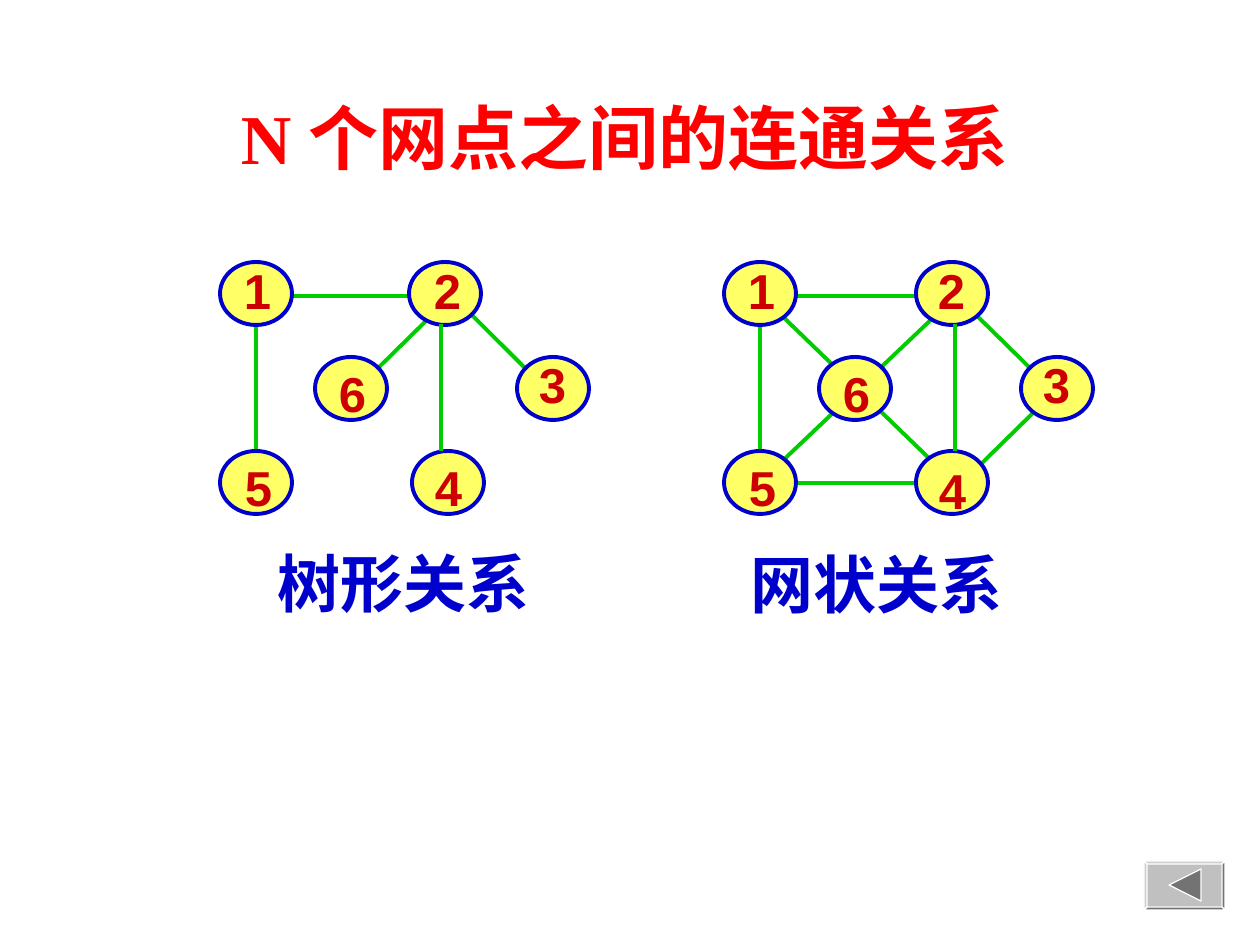
from lxml import etree
from pptx import Presentation
from pptx import util as u
from pptx.dml.color import RGBColor
from pptx.enum import shapes, text
from pptx.oxml.ns import qn

EMU_PER_PX = 914400 / 126

RED = RGBColor(0xFF, 0x00, 0x00)
DARK_RED = RGBColor(0xCC, 0x00, 0x00)
BLUE = RGBColor(0x00, 0x00, 0xCC)
GREEN = RGBColor(0x00, 0xCC, 0x00)
YELLOW = RGBColor(0xFF, 0xFF, 0x66)
WHITE = RGBColor(0xFF, 0xFF, 0xFF)
SILVER = RGBColor(0xC0, 0xC0, 0xC0)
LIGHT_GRAY = RGBColor(0xCD, 0xCD, 0xCD)
GRAY = RGBColor(0x73, 0x73, 0x73)

SERIF, SANS = "Times New Roman", "Arial"
NODE_W, NODE_H = 72, 63


def px(n):
    return u.Emu(round(n * EMU_PER_PX))


def write(frame, words, size, color, font=SANS, align=text.PP_ALIGN.LEFT,
          anchor=text.MSO_ANCHOR.TOP, inset=(13, 6), wrap=False,
          fit=text.MSO_AUTO_SIZE.SHAPE_TO_FIT_TEXT):
    frame.word_wrap = wrap
    frame.auto_size = fit
    frame.vertical_anchor = anchor
    frame.margin_left = frame.margin_right = px(inset[0])
    frame.margin_top = frame.margin_bottom = px(inset[1])
    paragraph = frame.paragraphs[0]
    paragraph.alignment = align
    run = paragraph.add_run()
    run.text = words
    run.font.size = u.Pt(size)
    run.font.name = font
    run.font.bold = True
    run.font.color.rgb = color


class Board:
    """Style of the graphs and the slide they are drawn on."""

    line_width = u.Pt(2.25)

    def __init__(self, slide):
        self.slide = slide

    def title(self, words, x, y, w, h):
        title = self.slide.shapes.title
        title.left, title.top, title.width, title.height = map(px, (x, y, w, h))
        write(title.text_frame, words, 40, RED, SERIF, text.PP_ALIGN.CENTER,
              text.MSO_ANCHOR.MIDDLE, wrap=True, fit=text.MSO_AUTO_SIZE.NONE)

    def label(self, words, x, y, w, h, **style):
        box = self.slide.shapes.add_textbox(*map(px, (x, y, w, h)))
        write(box.text_frame, words, **style)

    def node(self, x, y):
        node = self.slide.shapes.add_shape(
            shapes.MSO_SHAPE.OVAL, *map(px, (x, y, NODE_W, NODE_H)))
        node.shadow.inherit = False
        node.fill.solid()
        node.fill.fore_color.rgb = YELLOW
        node.line.color.rgb = BLUE
        node.line.width = self.line_width

    def edge(self, x1, y1, x2, y2):
        edge = self.slide.shapes.add_connector(
            shapes.MSO_CONNECTOR.STRAIGHT, *map(px, (x1, y1, x2, y2)))
        edge.line.color.rgb = GREEN
        edge.line.width = self.line_width
        etree.SubElement(edge._element.spPr, qn("a:effectLst"))

    def polygon(self, points, fill):
        builder = self.slide.shapes.build_freeform(*points[0], scale=EMU_PER_PX)
        builder.add_line_segments(points[1:], close=True)
        facet = builder.convert_to_shape()
        facet.shadow.inherit = False
        facet.fill.solid()
        facet.fill.fore_color.rgb = fill
        facet.line.color.rgb = WHITE
        facet.line.width = u.Pt(0.75)

    def graph(self, left, nodes, edges, top_edge):
        for x1, y1, x2, y2 in edges:
            self.edge(left + x1, y1, left + x2, y2)
        for number, (x, y, dx, dy) in nodes.items():
            self.node(left + x, y)
            self.label(number, left + x + dx, y + dy, 52, 72,
                       size=28, color=DARK_RED)
        x1, y1, x2, y2 = top_edge
        self.edge(left + x1, y1, left + x2, y2)

    def back_button(self, x, y, w, h, bevel):
        right, bottom = x + w, y + h
        outer = [(x, y), (right, y), (right, bottom), (x, bottom)]
        inner = [(x + bevel, y + bevel), (right - bevel, y + bevel),
                 (right - bevel, bottom - bevel), (x + bevel, bottom - bevel)]
        self.polygon(outer, SILVER)
        for i, shade in enumerate((LIGHT_GRAY, GRAY, GRAY, LIGHT_GRAY)):
            j = (i + 1) % 4
            self.polygon([outer[i], outer[j], inner[j], inner[i]], shade)
        middle = y + h // 2
        self.polygon([(x + 25, middle), (x + 57, middle - 16),
                      (x + 57, middle + 16)], GRAY)


# Node left and top, then offset of its number
MESH_NODES = {
    "1": (220, 262, 11, -7),
    "2": (412, 262, 9, -7),
    "3": (517, 357, 9, -8),
    "4": (412, 451, 10, 3),
    "5": (220, 451, 12, 0),
    "6": (315, 357, 11, 0),
}
TREE_NODES = MESH_NODES | {"2": (409, 262, 12, -7), "4": (412, 451, 10, 0)}

SHARED_EDGES = [(284, 296, 418, 296), (256, 324, 256, 451)]
TREE_EDGES = SHARED_EDGES + [(431, 316, 368, 378), (472, 315, 530, 373)]
MESH_EDGES = SHARED_EDGES + [
    (532, 410, 472, 469),
    (467, 310, 525, 367),
    (273, 311, 432, 465),
    (431, 316, 270, 469),
    (284, 483, 418, 483),
]


def main():
    prs = Presentation()
    prs.slide_width, prs.slide_height = px(1260), px(945)
    board = Board(prs.slides.add_slide(prs.slide_layouts[5]))
    caption = dict(size=36, color=BLUE, font=SERIF, inset=(15, 8))

    board.title("N 个网点之间的连通关系", 73, 84, 1103, 105)

    # Tree relation
    board.graph(0, TREE_NODES, TREE_EDGES, (441, 324, 441, 451))
    board.label("树形关系", 263, 537, 284, 91, **caption)

    # Mesh relation
    board.graph(504, MESH_NODES, MESH_EDGES, (451, 324, 451, 451))
    board.label("网状关系", 736, 538, 284, 91, **caption)

    # Back button
    board.back_button(1144, 861, 81, 49, 3)

    prs.save("out.pptx")


if __name__ == "__main__":
    main()
